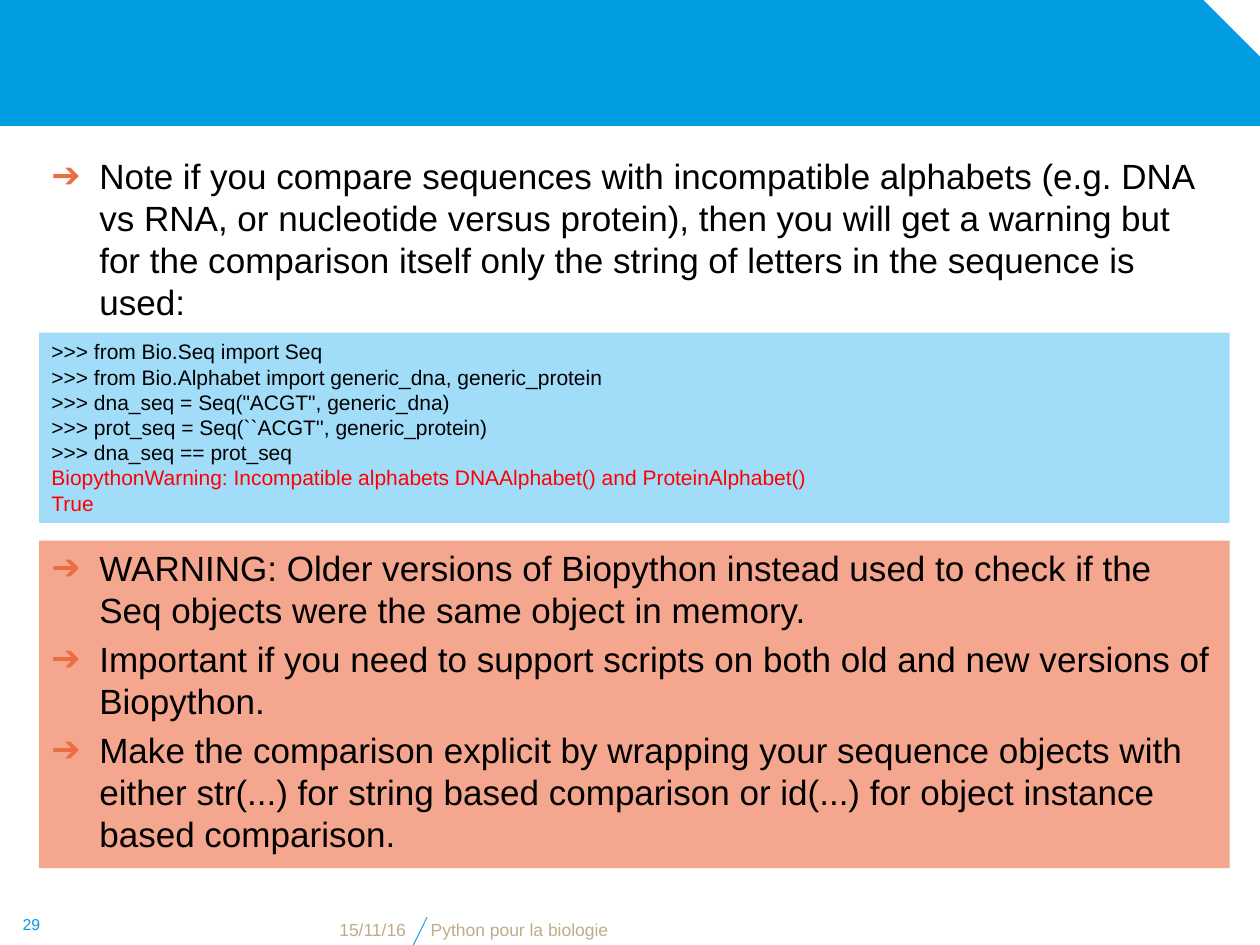
from lxml import etree
from pptx import Presentation
from pptx.dml.color import RGBColor
from pptx.enum.shapes import MSO_CONNECTOR, MSO_SHAPE
from pptx.enum.text import MSO_ANCHOR, PP_ALIGN
from pptx.oxml.ns import qn
from pptx.util import Inches, Pt

BLUE = RGBColor(0x00, 0x9D, 0xE0)
LIGHT_BLUE = RGBColor(0xA1, 0xDD, 0xF9)
SALMON = RGBColor(0xF4, 0xA7, 0x8E)
ORANGE = RGBColor(0xEC, 0x6C, 0x43)
SAND = RGBColor(0xBE, 0xAD, 0x8A)
BLACK = RGBColor(0x00, 0x00, 0x00)
RED = RGBColor(0xFF, 0x00, 0x00)

RECTANGLE = MSO_SHAPE.RECTANGLE
SNIPPED = MSO_SHAPE.SNIP_1_RECTANGLE
STRAIGHT = MSO_CONNECTOR.STRAIGHT
LEFT, CENTER, RIGHT = PP_ALIGN.LEFT, PP_ALIGN.CENTER, PP_ALIGN.RIGHT
TOP, MIDDLE, BOTTOM = MSO_ANCHOR.TOP, MSO_ANCHOR.MIDDLE, MSO_ANCHOR.BOTTOM

CONTENT_LEFT, CONTENT_WIDTH = 0.31, 9.45
FOOTER_TOP, FOOTER_HEIGHT = 7.28, 0.23

COMPARISON_NOTE = [
    "Note if you compare sequences with incompatible alphabets (e.g. DNA vs RNA, "
    "or nucleotide versus protein), then you will get a warning but for the "
    "comparison itself only the string of letters in the sequence is used:",
]
CODE = [
    ">>> from Bio.Seq import Seq",
    ">>> from Bio.Alphabet import generic_dna, generic_protein",
    '>>> dna_seq = Seq("ACGT", generic_dna)',
    ">>> prot_seq = Seq(``ACGT'', generic_protein)",
    ">>> dna_seq == prot_seq",
]
OUTPUT = [
    "BiopythonWarning: Incompatible alphabets DNAAlphabet() and ProteinAlphabet()",
    "True",
]
WARNINGS = [
    "WARNING: Older versions of Biopython instead used to check if the Seq objects "
    "were the same object in memory.",
    "Important if you need to support scripts on both old and new versions of "
    "Biopython.",
    "Make the comparison explicit by wrapping your sequence objects with either "
    "str(...) for string based comparison or id(...) for object instance based "
    "comparison.",
]


class SlideBuilder:
    font = "Arial"
    body_size = 20
    code_size = 12
    bullet = "➔"
    indent = Inches(0.38)

    def __init__(self, slide):
        self.slide = slide

    def panel(self, kind, left, top, width, height, fill):
        shape = self.slide.shapes.add_shape(
            kind, Inches(left), Inches(top), Inches(width), Inches(height))
        shape.shadow.inherit = False
        shape.fill.solid()
        shape.fill.fore_color.rgb = fill
        shape.line.fill.background()
        return shape

    def text_box(self, left, top, width, height):
        return self.slide.shapes.add_textbox(
            Inches(left), Inches(top), Inches(width), Inches(height))

    def line(self, start, end, color, weight):
        connector = self.slide.shapes.add_connector(
            STRAIGHT, *(Inches(value) for value in start + end))
        connector.line.color.rgb = color
        connector.line.width = Pt(weight)
        etree.SubElement(connector._element.spPr, qn("a:effectLst"))

    def fill_text(self, shape, lines, size, align=LEFT, anchor=TOP, bulleted=False):
        frame = shape.text_frame
        frame.word_wrap = True
        frame.vertical_anchor = anchor
        for index, (text, color) in enumerate(lines):
            paragraph = frame.add_paragraph() if index else frame.paragraphs[0]
            paragraph.alignment = align
            run = paragraph.add_run()
            run.text = text
            run.font.name = self.font
            run.font.size = Pt(size)
            run.font.color.rgb = color
            if bulleted:
                self.add_bullet(paragraph)

    def add_bullet(self, paragraph):
        paragraph.space_before = Pt(self.body_size * 0.2)
        properties = paragraph._p.get_or_add_pPr()
        properties.set("marL", str(self.indent))
        properties.set("indent", str(-self.indent))
        color = etree.SubElement(properties, qn("a:buClr"))
        etree.SubElement(color, qn("a:srgbClr"), val=str(ORANGE))
        etree.SubElement(properties, qn("a:buFont"), typeface=self.font)
        etree.SubElement(properties, qn("a:buChar"), char=self.bullet)

    def bullets(self, shape, texts):
        lines = [(text, BLACK) for text in texts]
        self.fill_text(shape, lines, self.body_size, bulleted=True)

    def code(self, shape, commands, output):
        lines = [(text, BLACK) for text in commands]
        lines += [(text, RED) for text in output]
        self.fill_text(shape, lines, self.code_size)

    def label(self, text, left, top, width, height, size, color, align, anchor):
        shape = self.text_box(left, top, width, height)
        self.fill_text(shape, [(text, color)], size, align, anchor)


def main():
    presentation = Presentation()
    presentation.slide_width = Inches(10)
    presentation.slide_height = Inches(7.5)
    blank_layout = presentation.slide_layouts[6]
    builder = SlideBuilder(presentation.slides.add_slide(blank_layout))

    banner = builder.panel(SNIPPED, 0, 0, 10.01, 1, BLUE)
    banner.adjustments[0] = 0.46
    builder.line((3.28, 7.5), (3.39, 7.28), BLUE, 0.5)

    note = builder.text_box(CONTENT_LEFT, 1.18, CONTENT_WIDTH, 1.33)
    builder.bullets(note, COMPARISON_NOTE)

    builder.label("15/11/16", 0.99, FOOTER_TOP, 2.33, FOOTER_HEIGHT,
                  10, SAND, RIGHT, BOTTOM)
    builder.label("Python pour la biologie", 3.32, FOOTER_TOP, 5.75, FOOTER_HEIGHT,
                  10, SAND, LEFT, BOTTOM)
    builder.label("29", 0, 7.17, 0.5, 0.33, 9, BLUE, CENTER, MIDDLE)

    code_panel = builder.panel(
        RECTANGLE, CONTENT_LEFT, 2.64, CONTENT_WIDTH, 1.51, LIGHT_BLUE)
    builder.code(code_panel, CODE, OUTPUT)

    warning_panel = builder.panel(
        RECTANGLE, CONTENT_LEFT, 4.29, CONTENT_WIDTH, 2.6, SALMON)
    builder.bullets(warning_panel, WARNINGS)

    presentation.save("out.pptx")


if __name__ == "__main__":
    main()
